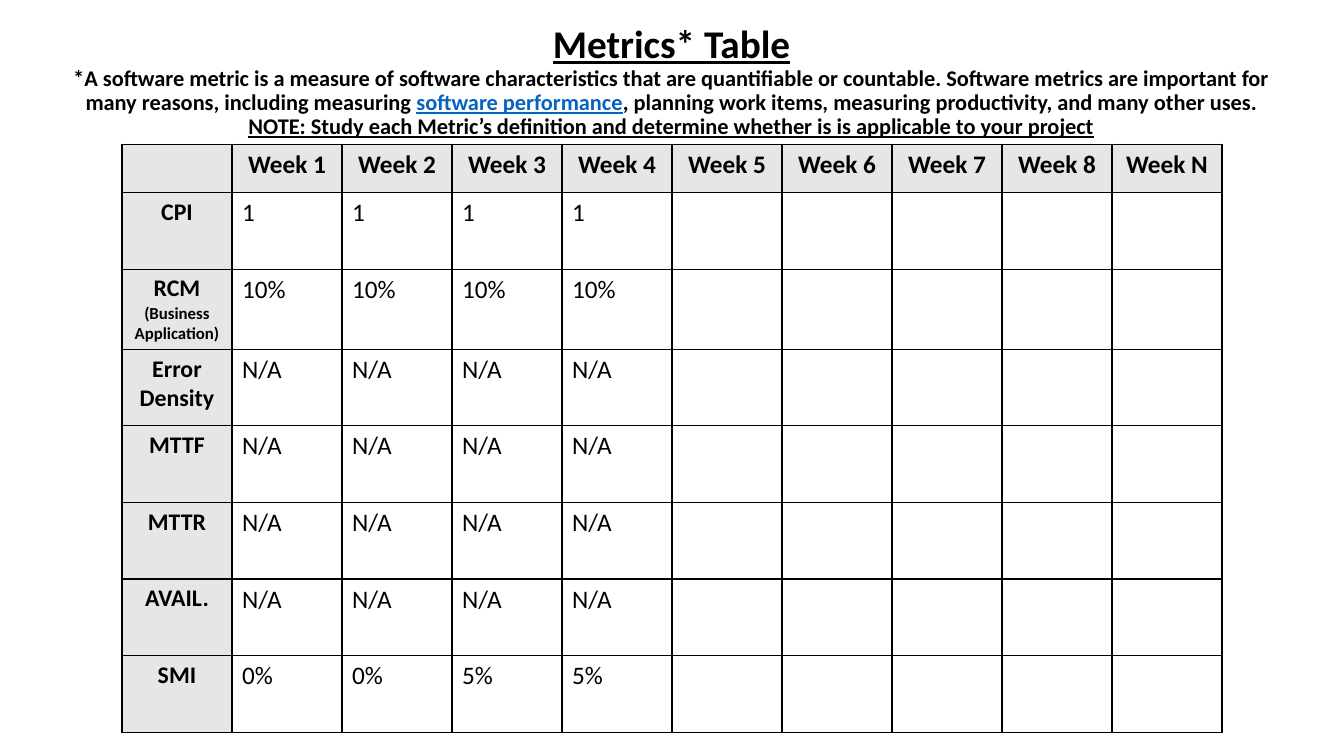
from copy import deepcopy
from lxml import etree
from pptx import Presentation
from pptx.dml.color import RGBColor
from pptx.enum.text import MSO_ANCHOR, MSO_AUTO_SIZE, PP_ALIGN
from pptx.oxml.ns import qn
from pptx.util import Inches, Pt

CENTER, LEFT = PP_ALIGN.CENTER, PP_ALIGN.LEFT
MIDDLE, NO_FIT = MSO_ANCHOR.MIDDLE, MSO_AUTO_SIZE.NONE

# Content: each heading line holds (text, size, colour, underlined) runs
HEADING = [
    [("Metrics* Table", "title", "ink", True)],
    [("*A software metric is a measure of software characteristics that are "
      "quantifiable or countable. Software metrics are important for many "
      "reasons, including measuring\u00a0", "note", "ink", False),
     ("software performance", "note", "link", True),
     (", planning work items, measuring productivity, and many other uses.",
      "note", "ink", False)],
    [("NOTE: Study each Metric’s definition and determine whether is is "
      "applicable to your project", "note", "ink", True)],
]
WEEKS = [f"Week {n}" for n in [*range(1, 9), "N"]]
NA = ["N/A"] * 4
METRICS = [
    ("CPI", "", ["1"] * 4),
    ("RCM", "(Business Application)", ["10%"] * 4),
    ("Error Density", "", NA),
    ("MTTF", "", NA),
    ("MTTR", "", NA),
    ("AVAIL.", "", NA),
    ("SMI", "", ["0%", "0%", "5%", "5%"]),
]


class Theme:
    font = "Calibri"
    color = {name: RGBColor.from_string(code) for name, code in {
        "ink": "000000", "link": "0563C1", "head": "E7E6E6",
        "body": "FFFFFF"}.items()}
    size = {"title": 28, "note": 16, "cell": 18, "label": 17, "small": 12}
    border = 1


def add_run(para, text, size, color="ink", bold=False, line=False):
    run = para.add_run()
    run.text = text
    font = run.font
    font.name, font.size = Theme.font, Pt(Theme.size[size])
    font.bold, font.underline = bold, line
    font.color.rgb = Theme.color[color]
    return run


def add_border(cell):
    props = cell._tc.get_or_add_tcPr()
    for side in ("lnL", "lnR", "lnT", "lnB"):
        line = etree.SubElement(props, qn(f"a:{side}"), w=str(Pt(Theme.border)))
        fill = etree.SubElement(line, qn("a:solidFill"))
        etree.SubElement(fill, qn("a:srgbClr"), val=str(Theme.color["ink"]))


def fill_cell(cell, parts, head):
    add_border(cell)
    cell.fill.solid()
    cell.fill.fore_color.rgb = Theme.color["head" if head else "body"]
    frame = cell.text_frame
    for i, (text, size) in enumerate(parts):
        para = frame.add_paragraph() if i else frame.paragraphs[0]
        para.alignment = CENTER if head else LEFT
        add_run(para, text, size, bold=head)


def add_heading(slide):
    title = slide.shapes.title
    title.left, title.top = Inches(0.44), Inches(0.09)
    title.width, title.height = Inches(12.44), Inches(1.45)
    frame = title.text_frame
    frame.word_wrap, frame.auto_size = True, NO_FIT
    frame.vertical_anchor = MIDDLE
    para = frame.paragraphs[0]
    para.alignment, para.line_spacing = CENTER, 0.9
    run = None
    for line in HEADING:
        if run is not None:
            # A line break keeps the type size of the run before it
            para.add_line_break()
            para._p[-1].append(deepcopy(run._r.rPr))
        for text, size, color, under in line:
            run = add_run(para, text, size, color, True, under)


def add_metrics(slide):
    # One list of (text, size) paragraphs per cell
    rows = [[[]] + [[(week, "cell")] for week in WEEKS]]
    for name, note, values in METRICS:
        label = [(name, "label")] + ([(note, "small")] if note else [])
        blanks = [[]] * (len(WEEKS) - len(values))
        rows.append([label] + [[(v, "cell")] for v in values] + blanks)

    frame = slide.shapes.add_table(
        len(rows), len(rows[0]), Inches(1.21), Inches(1.43),
        Inches(10.91), Inches(5.8))
    table = frame.table
    table.first_row = table.horz_banding = False
    for col in table.columns:
        col.width = Inches(10.91 / len(rows[0]))
    for r, row in enumerate(rows):
        table.rows[r].height = Inches(0.76 if r else 0.48)
        for c, parts in enumerate(row):
            fill_cell(table.cell(r, c), parts, r == 0 or c == 0)


def main():
    deck = Presentation()
    deck.slide_width, deck.slide_height = Inches(13.33), Inches(7.5)
    slide = deck.slides.add_slide(deck.slide_layouts[5])
    add_heading(slide)
    add_metrics(slide)
    deck.save("out.pptx")


if __name__ == "__main__":
    main()
